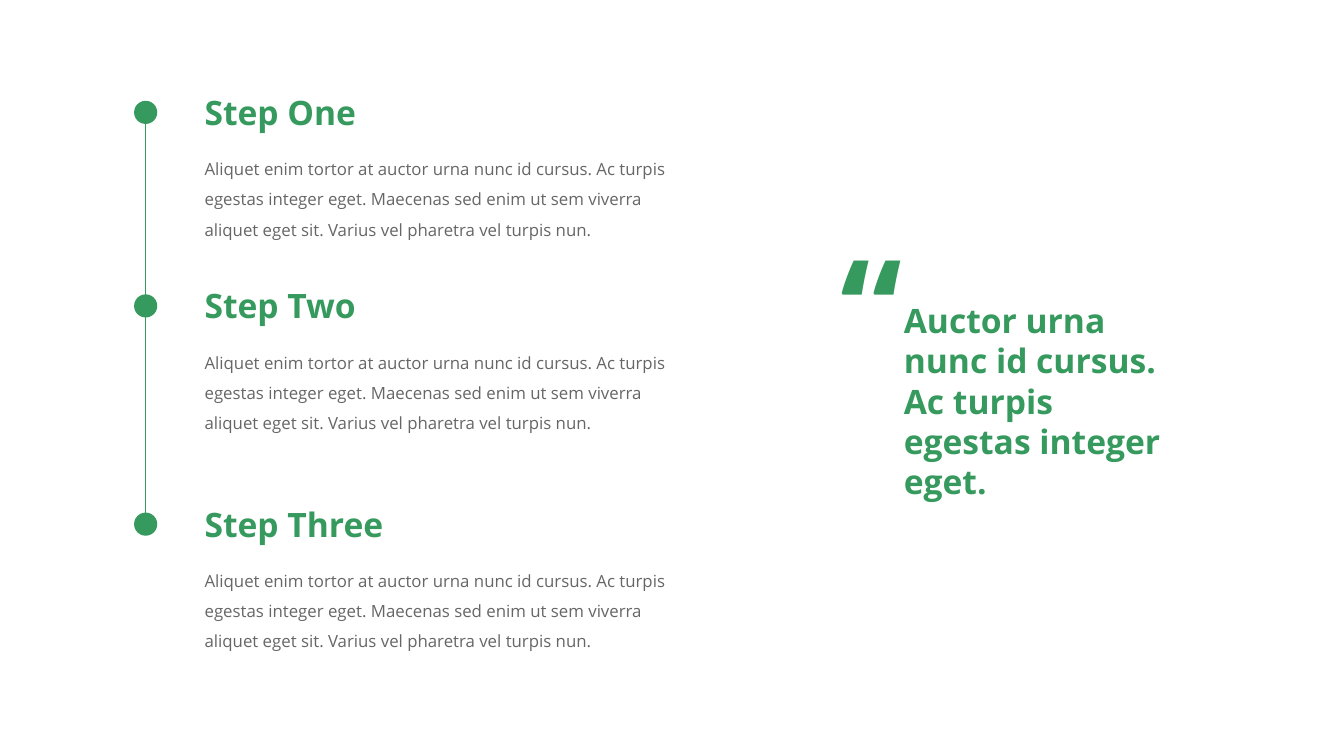
import pptx
import pptx.dml.color
import pptx.enum.shapes
import pptx.enum.text
import pptx.oxml.ns
import pptx.util
from lxml import etree

EMU_PER_PX = 9144
FONT = "Open Sans"
COLORS = {"green": "36995D", "grey": "656665", "white": "FFFFFF"}
STEPS = [("Step One", 177), ("Step Two", 561), ("Step Three", 994)]
STEP_TEXT = (
    "Aliquet enim tortor at auctor urna nunc id cursus. Ac turpis egestas "
    "integer eget. Maecenas sed enim ut sem viverra aliquet eget sit. "
    "Varius vel pharetra vel turpis nun."
)
QUOTE = "Auctor urna nunc id cursus. Ac turpis egestas integer eget."
TEXT_LEFT = 396
DOT_LEFT = 266
DOT_SIZE = 46
DOT_OFFSET = 23
BODY_OFFSET = 113


def px(*lengths):
    """Turn px lengths into a list of EMU lengths."""
    return [pptx.util.Emu(length * EMU_PER_PX) for length in lengths]


def color(name):
    """Return the named colour."""
    return pptx.dml.color.RGBColor.from_string(COLORS[name])


def add_text(page, text, bounds, size, shade="green", bold=True, spacing=None):
    """Add a wrapped text box holding one run."""
    box = page.shapes.add_textbox(*px(*bounds))
    frame = box.text_frame
    frame.word_wrap = True
    frame.auto_size = pptx.enum.text.MSO_AUTO_SIZE.SHAPE_TO_FIT_TEXT
    para = frame.paragraphs[0]
    if spacing:
        para.line_spacing = spacing
    span = para.add_run()
    span.text = text
    span.font.name = FONT
    span.font.size = pptx.util.Pt(size)
    span.font.bold = bold
    span.font.color.rgb = color(shade)


def add_rail(group, x, top, bottom):
    """Add the vertical line behind the step dots."""
    rail = group.shapes.add_connector(
        pptx.enum.shapes.MSO_CONNECTOR.STRAIGHT, *px(x, top, x, bottom)
    )
    rail.line.color.rgb = color("green")
    rail.line.width = pptx.util.Pt(2.25)
    etree.SubElement(rail._element.spPr, pptx.oxml.ns.qn("a:effectLst"))


def add_dot(group, top):
    """Add one round step marker."""
    dot = group.shapes.add_shape(
        pptx.enum.shapes.MSO_SHAPE.OVAL, *px(DOT_LEFT, top, DOT_SIZE, DOT_SIZE)
    )
    dot.shadow.inherit = False
    dot.fill.solid()
    dot.fill.fore_color.rgb = color("green")
    dot.line.fill.background()


def add_timeline(page):
    """Add the grouped rail and dots."""
    group = page.shapes.add_group_shape()
    dot_tops = [top + DOT_OFFSET for _, top in STEPS]
    radius = DOT_SIZE // 2
    add_rail(group, DOT_LEFT + radius, dot_tops[0] + radius, dot_tops[-1] + radius)
    for top in dot_tops:
        add_dot(group, top)


def add_step(page, heading, top):
    """Add a step's description and heading."""
    add_text(page, STEP_TEXT, (TEXT_LEFT, top + BODY_OFFSET, 982, 185), 24,
             shade="grey", bold=False, spacing=1.5)
    add_text(page, heading, (TEXT_LEFT, top, 541, 91), 48)


def main():
    """Build and save the slide."""
    deck = pptx.Presentation()
    deck.slide_width, deck.slide_height = px(2666, 1500)
    page = deck.slides.add_slide(deck.slide_layouts.get_by_name("Blank"))
    page.background.fill.solid()
    page.background.fill.fore_color.rgb = color("white")
    add_timeline(page)
    for heading, top in STEPS:
        add_step(page, heading, top)
    add_text(page, QUOTE, (1783, 590, 541, 414), 48)
    add_text(page, "“", (1658, 434, 191, 345), 199)
    deck.save("out.pptx")


if __name__ == "__main__":
    main()
